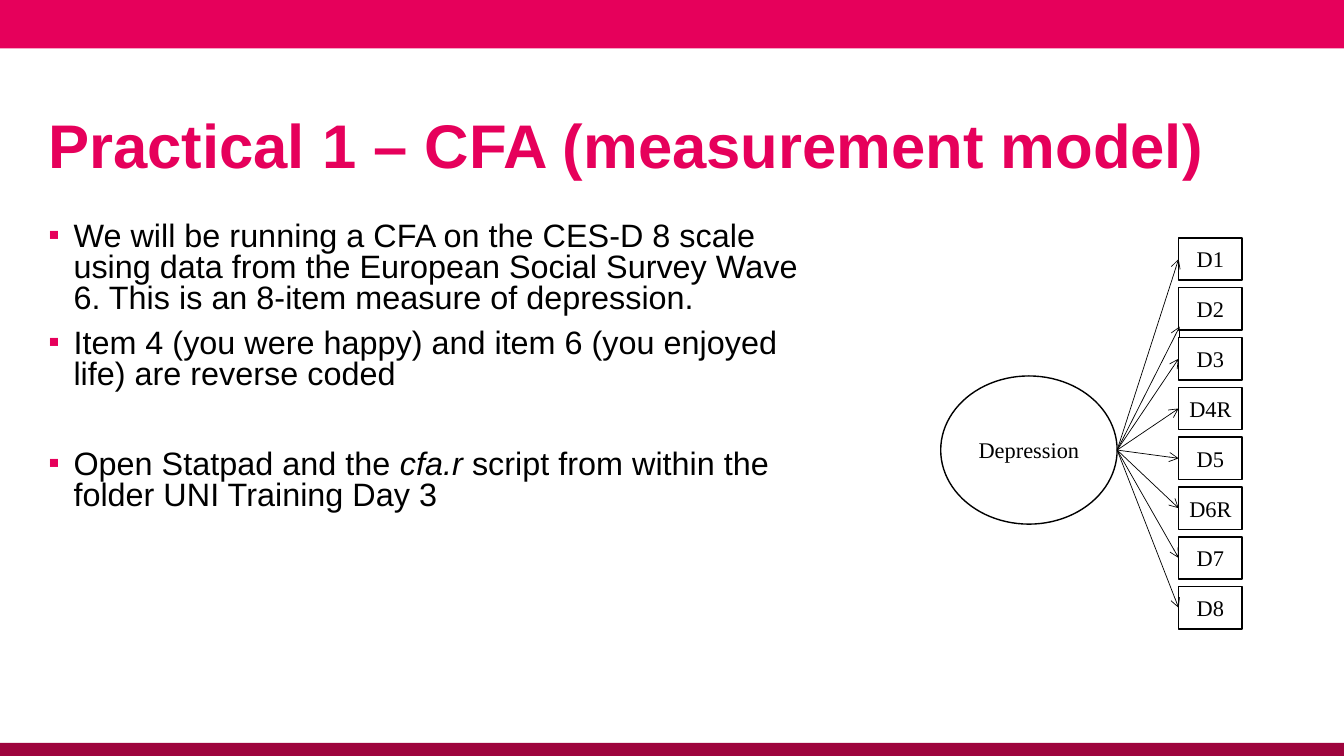
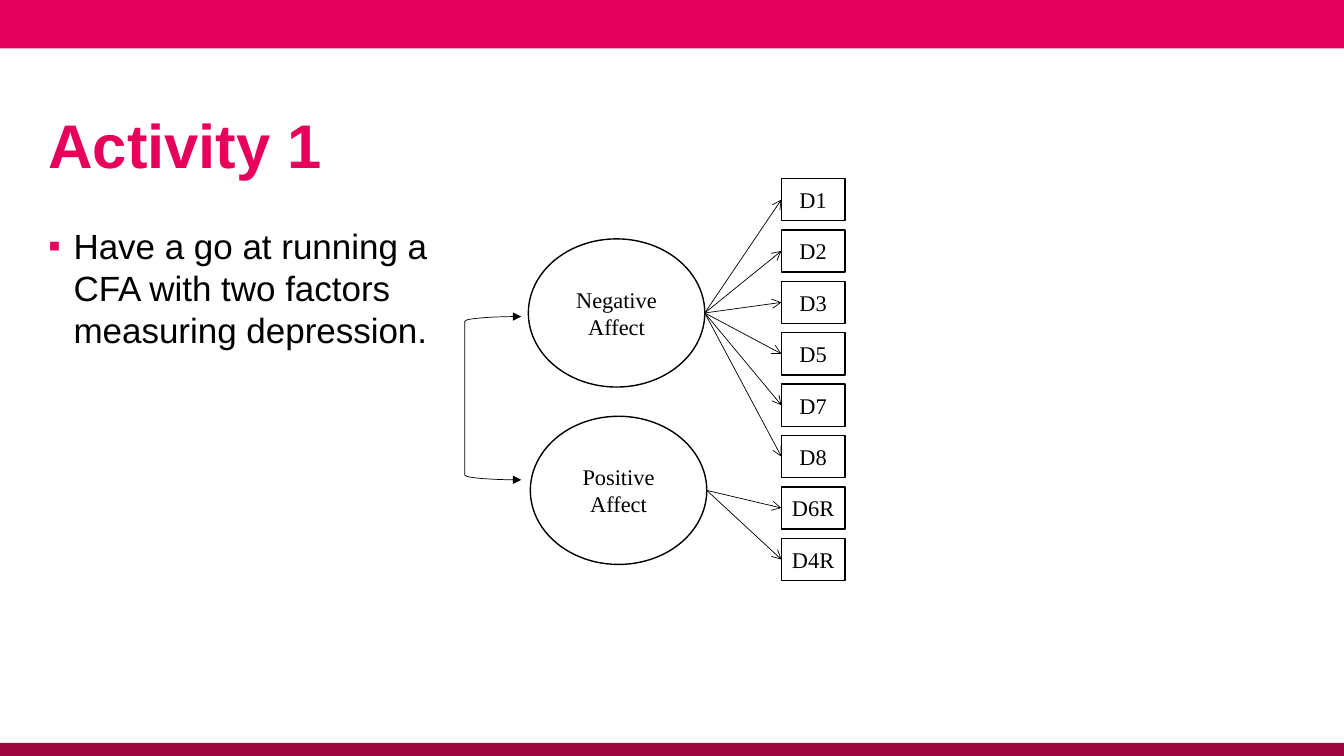
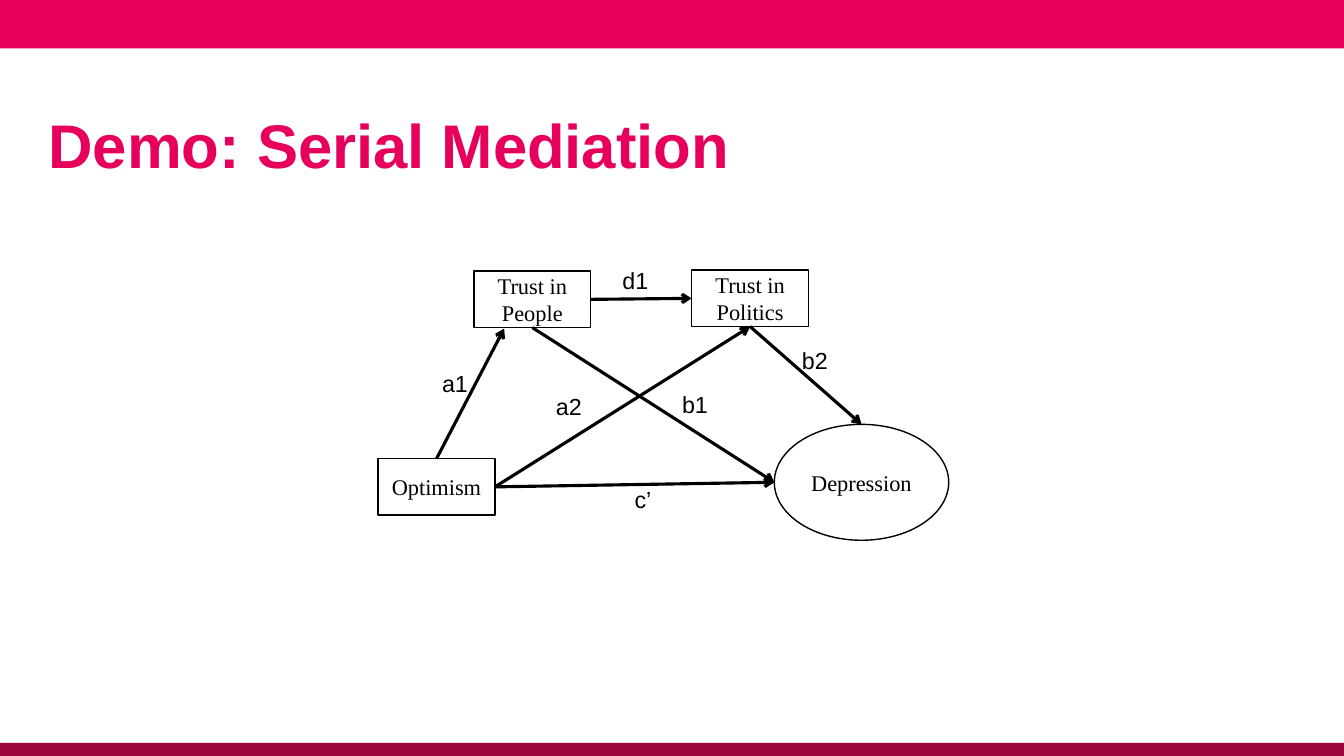
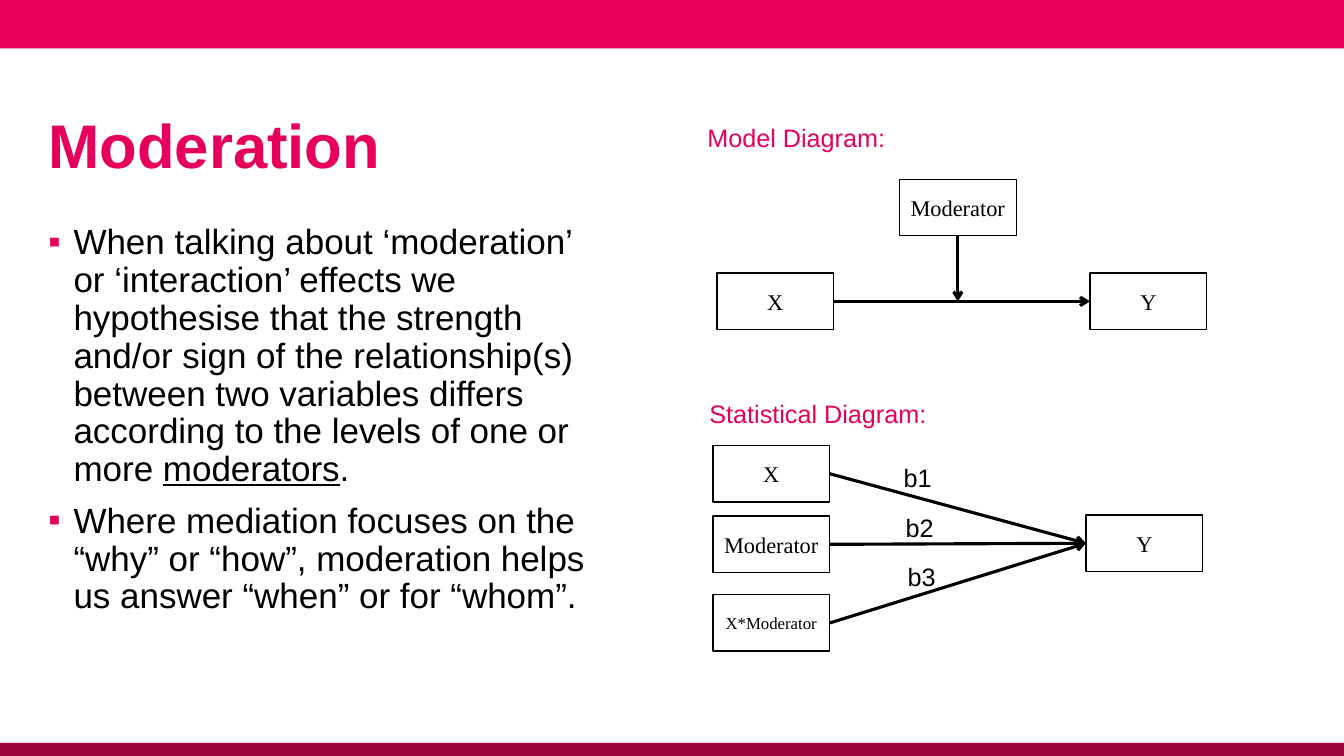
from lxml import etree
from pptx import Presentation
from pptx.dml.color import RGBColor
from pptx.enum.shapes import MSO_CONNECTOR, MSO_SHAPE
from pptx.enum.text import MSO_ANCHOR, PP_ALIGN
from pptx.oxml.ns import qn
from pptx.util import Inches, Pt

COLORS = {"pink": "E6005B", "wine": "9E043D", "ink": "000000", "paper": "FFFFFF"}
SANS, SERIF = "Arial", "Times New Roman"
SLIDE_W, SLIDE_H = 13.33, 7.5
MARGIN = 0.48
ITEM_W, ITEM_H = 0.63, 0.42        # questionnaire items
FACTOR_SIZE = (1.75, 1.47)         # latent factors
VARIABLE_SIZE = (1.16, 0.56)       # observed variables
THIN, THICK = 0.5, 2.25            # path widths


def color(name):
    return RGBColor.from_string(COLORS[name])


# Text
def write(frame, text, *, size=16, font=SANS, ink="ink", bold=False,
          align=PP_ALIGN.LEFT, bullet=False, spacing=None, before=0):
    """Write one paragraph; text is a string or a list of (string, style) runs."""
    paragraph = frame.paragraphs[0]
    if paragraph.runs:
        paragraph = frame.add_paragraph()
    paragraph.alignment = align
    paragraph.space_before = Pt(before)
    if spacing:
        paragraph.line_spacing = spacing
    if bullet:
        add_bullet(paragraph)
    for words, style in [(text, None)] if isinstance(text, str) else text:
        run = paragraph.add_run()
        run.text = words
        run.font.size, run.font.name, run.font.bold = Pt(size), font, bold
        run.font.color.rgb = color(ink)
        if style == "italic":
            run.font.italic = True
        elif style == "underline":
            run.font.underline = True


def add_bullet(paragraph):
    props = paragraph._p.get_or_add_pPr()
    props.set("marL", str(Inches(0.25)))
    props.set("indent", str(Inches(-0.25)))
    bullet_color = etree.SubElement(props, qn("a:buClr"))
    etree.SubElement(bullet_color, qn("a:srgbClr"), val=COLORS["pink"])
    etree.SubElement(props, qn("a:buFont"), typeface=SANS)
    etree.SubElement(props, qn("a:buChar"), char="▪")


def text_area(slide, left, top, width, height, anchor=MSO_ANCHOR.TOP,
              insets=(0, 0.05, 0.1, 0.05)):
    box = slide.shapes.add_textbox(*map(Inches, (left, top, width, height)))
    frame = box.text_frame
    frame.word_wrap = True
    frame.vertical_anchor = anchor
    (frame.margin_left, frame.margin_top,
     frame.margin_right, frame.margin_bottom) = map(Inches, insets)
    return frame


def bullets(slide, top, width, height, paragraphs, size, spacing=None):
    """Each paragraph is (text, space before)."""
    frame = text_area(slide, MARGIN, top, width, height)
    for text, before in paragraphs:
        write(frame, text, size=size, spacing=spacing, before=before, bullet=True)


def label(slide, text, right, bottom, width=0.4, **style):
    """Text that ends at a given right edge and sits on a given bottom."""
    frame = text_area(slide, right - width, bottom - 0.3, width, 0.3,
                      MSO_ANCHOR.BOTTOM, (0, 0, 0, 0))
    write(frame, text, align=PP_ALIGN.RIGHT, **style)


# Diagram parts
def band(slide, top, height, fill):
    strip = slide.shapes.add_shape(MSO_SHAPE.RECTANGLE, 0, Inches(top),
                                   Inches(SLIDE_W), Inches(height))
    strip.shadow.inherit = False
    strip.fill.solid()
    strip.fill.fore_color.rgb = color(fill)
    strip.line.fill.background()


def outline(slide, kind, left, top, size, width=1):
    shape = slide.shapes.add_shape(kind, *map(Inches, (left, top, *size)))
    shape.shadow.inherit = False
    shape.fill.background()
    shape.line.color.rgb = color("ink")
    shape.line.width = Pt(width)
    return shape


def node(slide, text, left, top, size=VARIABLE_SIZE, kind=MSO_SHAPE.RECTANGLE,
         text_size=16):
    shape = outline(slide, kind, left, top, size)
    shape.text_frame.word_wrap = True
    shape.text_frame.vertical_anchor = MSO_ANCHOR.MIDDLE
    write(shape.text_frame, text, size=text_size, font=SERIF, align=PP_ALIGN.CENTER)
    return shape


def factor(slide, text, left, top, size=FACTOR_SIZE):
    return node(slide, text, left, top, size, MSO_SHAPE.OVAL)


def edge(shape, side):
    """Middle of one side of a shape, as a point."""
    x, y = {"left": (0, 0.5), "right": (1, 0.5),
            "top": (0.5, 0), "bottom": (0.5, 1)}[side]
    return int(shape.left + x * shape.width), int(shape.top + y * shape.height)


def add_arrowheads(shape, **ends):
    line = shape.line._get_or_add_ln()
    for end, kind in ends.items():
        etree.SubElement(line, qn(f"a:{end}"), type=kind)


def path_arrow(slide, start, tip, width=THICK):
    arrow = slide.shapes.add_connector(MSO_CONNECTOR.STRAIGHT, *start, *tip)
    arrow.line.color.rgb = color("ink")
    arrow.line.width = Pt(width)
    add_arrowheads(arrow, tailEnd="arrow")
    etree.SubElement(arrow._element.spPr, qn("a:effectLst"))


def item_column(slide, names, left, first_top, last_top):
    """Evenly spaced items, returned by name."""
    pitch = (last_top - first_top) / (len(names) - 1)
    return {name: node(slide, name, left, first_top + row * pitch, (ITEM_W, ITEM_H))
            for row, name in enumerate(names)}


# Slides
def new_slide(deck, title):
    slide = deck.slides.add_slide(deck.slide_layouts[6])
    slide.background.fill.solid()
    slide.background.fill.fore_color.rgb = color("paper")
    band(slide, 0, 0.48, "pink")
    band(slide, 7.37, 0.14, "wine")
    heading = text_area(slide, MARGIN, 0.88, 12.36, 1.1, MSO_ANCHOR.MIDDLE)
    write(heading, title, size=44, ink="pink", bold=True)
    return slide


def measurement_slide(deck):
    slide = new_slide(deck, "Practical 1 – CFA (measurement model)")
    bullets(slide, 2.16, 7.84, 3.14, [
        ("We will be running a CFA on the CES-D 8 scale using data from the European "
         "Social Survey Wave 6. This is an 8-item measure of depression.", 10),
        ("Item 4 (you were happy) and item 6 (you enjoyed life) are reverse coded", 10),
        ([("Open Statpad and the ", None), ("cfa.r ", "italic"),
          ("script from within the folder UNI Training Day 3", None)], 42),
    ], size=23.1, spacing=0.8)

    depression = factor(slide, "Depression", 9.33, 3.73)
    items = item_column(slide, ["D1", "D2", "D3", "D4R", "D5", "D6R", "D7", "D8"],
                        11.69, 2.36, 5.82)
    tips = {name: edge(item, "left") for name, item in items.items()}
    tips["D2"] = Inches(11.7), Inches(3.24)
    for tip in tips.values():
        path_arrow(slide, edge(depression, "right"), tip, THIN)


def two_factor_slide(deck):
    slide = new_slide(deck, "Activity 1")
    bullets(slide, 2.18, 3.9, 4.06, [
        ("Have a go at running a CFA with two factors measuring depression.", 10),
    ], size=25)

    negative = factor(slide, "Negative Affect", 5.24, 2.37)
    positive = factor(slide, "Positive Affect", 5.26, 4.13)
    loadings = {"D1": negative, "D2": negative, "D3": negative, "D5": negative,
                "D7": negative, "D8": negative, "D6R": positive, "D4R": positive}
    items = item_column(slide, list(loadings), 7.75, 1.77, 5.34)
    for name, source in loadings.items():
        path_arrow(slide, edge(source, "right"), edge(items[name], "left"), THIN)

    # Covariance between the factors
    covariance = outline(slide, MSO_SHAPE.LEFT_BRACKET, 4.61, 3.14, (0.56, 1.62), THIN)
    add_arrowheads(covariance, headEnd="triangle", tailEnd="triangle")


def mediation_slide(deck):
    slide = new_slide(deck, "Demo: Serial Mediation")
    depression = factor(slide, "Depression", 7.68, 4.21, (1.73, 1.15))
    optimism = node(slide, "Optimism", 3.75, 4.55)
    people = node(slide, "Trust in People", 4.7, 2.69)
    politics = node(slide, "Trust in Politics", 6.86, 2.68)

    for start, tip in [
        (edge(optimism, "top"), (Inches(5), Inches(3.26))),
        (edge(people, "bottom"), edge(depression, "left")),
        (edge(optimism, "right"), edge(depression, "left")),
        (edge(optimism, "right"), edge(politics, "bottom")),
        (edge(politics, "bottom"), edge(depression, "top")),
        (edge(people, "right"), edge(politics, "left")),
    ]:
        path_arrow(slide, start, tip)

    for text, right, bottom in [("a1", 4.64, 3.94), ("b1", 7.02, 4.15),
                                ("c’", 6.46, 5.09), ("a2", 5.77, 4.17),
                                ("b2", 8.21, 3.71), ("d1", 6.43, 2.92)]:
        label(slide, text, right, bottom, size=16.6)


def moderation_slide(deck):
    slide = new_slide(deck, "Moderation")
    bullets(slide, 2.18, 5.69, 4.06, [
        ([("When talking about ‘moderation’ or ‘interaction’ effects we hypothesise "
           "that the strength and/or sign of the relationship(s) between two variables "
           "differs according to the levels of one or more ", None),
          ("moderators", "underline"), (".", None)], 10),
        ("Where mediation focuses on the “why” or “how”, moderation helps us answer "
         "“when” or for “whom”.", 10),
    ], size=25, spacing=0.9)

    # Model diagram
    label(slide, "Model Diagram:", 8.78, 1.51, width=2.26, size=18, ink="pink")
    predictor = node(slide, "X", 7.11, 2.71)
    outcome = node(slide, "Y", 10.81, 2.71)
    moderator = node(slide, "Moderator", 8.92, 1.78)
    path_arrow(slide, edge(predictor, "right"), edge(outcome, "left"))
    moderator_x, _ = edge(moderator, "bottom")
    _, path_y = edge(predictor, "right")
    path_arrow(slide, edge(moderator, "bottom"), (moderator_x, path_y))

    # Statistical diagram
    label(slide, "Statistical Diagram:", 9.19, 4.25, width=2.26, size=18, ink="pink")
    outcome = node(slide, "Y", 10.77, 5.11)
    for row, (term, top, text_size) in enumerate([("X", 4.42, 16), ("Moderator", 5.12, 16),
                                                  ("X*Moderator", 5.9, 12)]):
        source = node(slide, term, 7.07, top, text_size=text_size)
        path_arrow(slide, edge(source, "right"), edge(outcome, "left"))
        label(slide, f"b{row + 1}", 9.24 + 0.02 * row, 4.89 + 0.49 * row, size=18)


def main():
    deck = Presentation()
    deck.slide_width, deck.slide_height = Inches(SLIDE_W), Inches(SLIDE_H)
    measurement_slide(deck)
    two_factor_slide(deck)
    mediation_slide(deck)
    moderation_slide(deck)
    deck.save("out.pptx")


if __name__ == "__main__":
    main()
